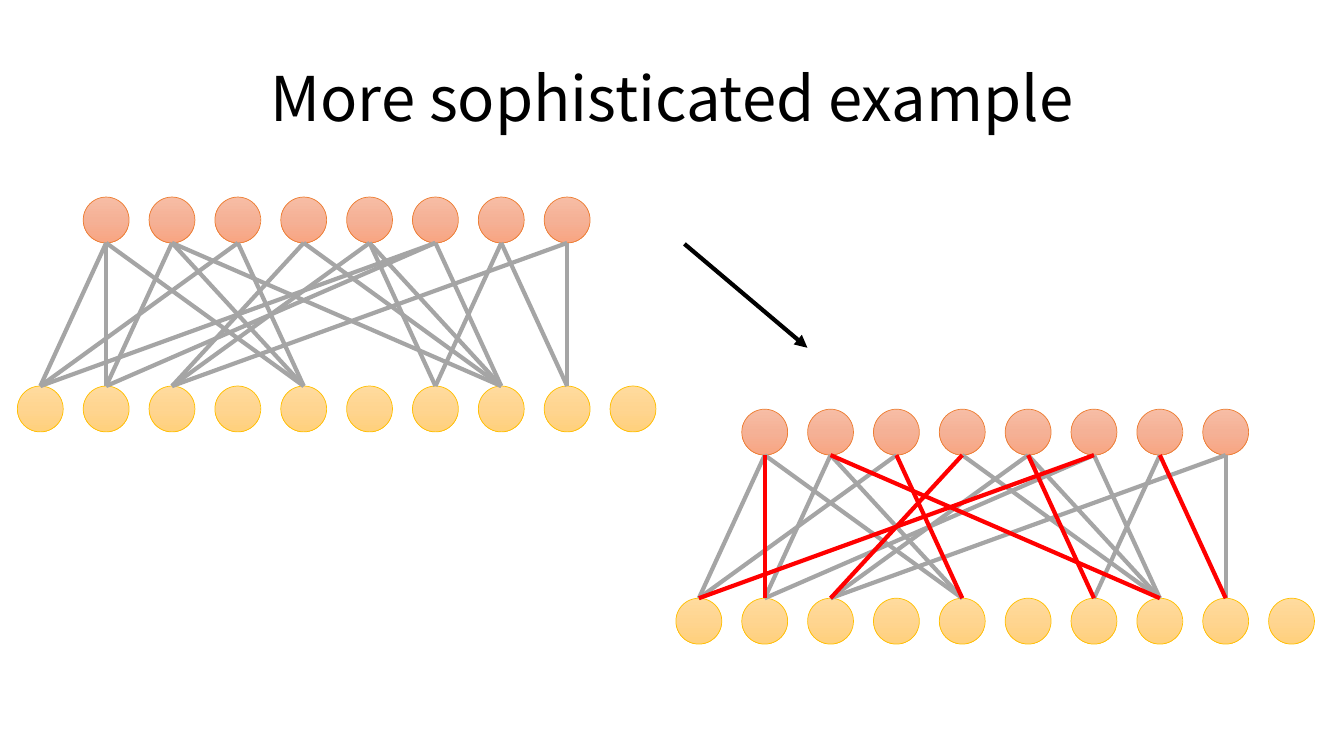
"""Build a slide showing a bipartite graph and a matching found in it."""
from copy import deepcopy
from dataclasses import dataclass

from lxml.etree import SubElement
from pptx import Presentation
from pptx.dml.color import RGBColor
from pptx.enum.shapes import MSO_CONNECTOR, MSO_SHAPE
from pptx.enum.text import MSO_ANCHOR, PP_ALIGN
from pptx.oxml.ns import qn
from pptx.util import Inches, Pt


@dataclass(frozen=True)
class Theme:
    font: str = "Noto Sans CJK SC"
    title_size: int = 44
    ink: str = "000000"
    edge: str = "A5A5A5"
    matched: str = "FF0000"
    upper_fill: tuple = ("F7BDA5", "F5B196", "F8A582")
    upper_line: str = "ED7D31"
    lower_fill: tuple = ("FFDB9E", "FFD590", "FFD07C")
    lower_line: str = "FFC000"
    outline_width: float = 0.5
    edge_width: float = 3


theme = Theme()
presentation = Presentation()
presentation.slide_width = Inches(13.333)
presentation.slide_height = Inches(7.5)
slide = presentation.slides.add_slide(presentation.slide_layouts[5])

column_width = presentation.slide_width * 0.049
first_center = Inches(0.4)
diameter = Inches(0.455)
row_gap = Inches(1.875)
graph_columns = 10
neighbours = {
    1: (0, 1, 4), 2: (1, 4, 7), 3: (0, 4), 4: (2, 7),
    5: (2, 6, 7), 6: (0, 1, 7), 7: (6, 8), 8: (2, 8),
}
matching = {1: 1, 2: 7, 3: 4, 4: 2, 5: 6, 6: 0, 7: 8}


def add_node(center, top, colours, outline):
    node = slide.shapes.add_shape(
        MSO_SHAPE.OVAL, int(center - diameter / 2), top, diameter, diameter)
    node.shadow.inherit = False
    node.fill.gradient()
    node.fill.gradient_angle = 270
    stop_list = node._element.spPr.find(".//" + qn("a:gsLst"))
    stop_list.append(deepcopy(stop_list[-1]))
    for stop, position, colour in zip(node.fill.gradient_stops, (0, 0.5, 1), colours):
        stop.position = position
        stop.color.rgb = RGBColor.from_string(colour)
    node.line.color.rgb = RGBColor.from_string(outline)
    node.line.width = Pt(theme.outline_width)


def add_line(start, end, colour):
    connector = slide.shapes.add_connector(
        MSO_CONNECTOR.STRAIGHT, *(int(length) for length in (*start, *end)))
    connector.line.color.rgb = RGBColor.from_string(colour)
    connector.line.width = Pt(theme.edge_width)
    SubElement(connector._element.spPr, qn("a:effectLst"))
    return connector


title = slide.shapes.title
title.left, title.top = Inches(0.92), Inches(0.4)
title.width, title.height = Inches(11.5), Inches(1.22)
title.text_frame.vertical_anchor = MSO_ANCHOR.MIDDLE
paragraph = title.text_frame.paragraphs[0]
paragraph.alignment = PP_ALIGN.CENTER
paragraph.line_spacing = 0.9
run = paragraph.add_run()
run.text = "More sophisticated example"
run.font.name = theme.font
run.font.size = Pt(theme.title_size)
run.font.color.rgb = RGBColor.from_string(theme.ink)

for graph_index, (graph_top, matched_pairs) in enumerate(
        ((Inches(1.955), {}), (Inches(4.06), matching))):
    centers = [first_center + (graph_index * graph_columns + column) * column_width
               for column in range(graph_columns)]
    lower_top = graph_top + row_gap
    for upper in neighbours:
        add_node(centers[upper], graph_top, theme.upper_fill, theme.upper_line)
    for center in centers:
        add_node(center, lower_top, theme.lower_fill, theme.lower_line)
    plain_edges = [(upper, lower, theme.edge)
                   for upper, lowers in neighbours.items() for lower in lowers
                   if matched_pairs.get(upper) != lower]
    matched_edges = [(upper, lower, theme.matched)
                     for upper, lower in matched_pairs.items()]
    for upper, lower, colour in plain_edges + matched_edges:
        add_line((centers[upper], graph_top + diameter),
                 (centers[lower], lower_top), colour)

arrow = add_line((Inches(6.79), Inches(2.42)), (Inches(8.01), Inches(3.45)), theme.ink)
SubElement(arrow.line._get_or_add_ln(), qn("a:tailEnd"), type="triangle")

presentation.save("out.pptx")
